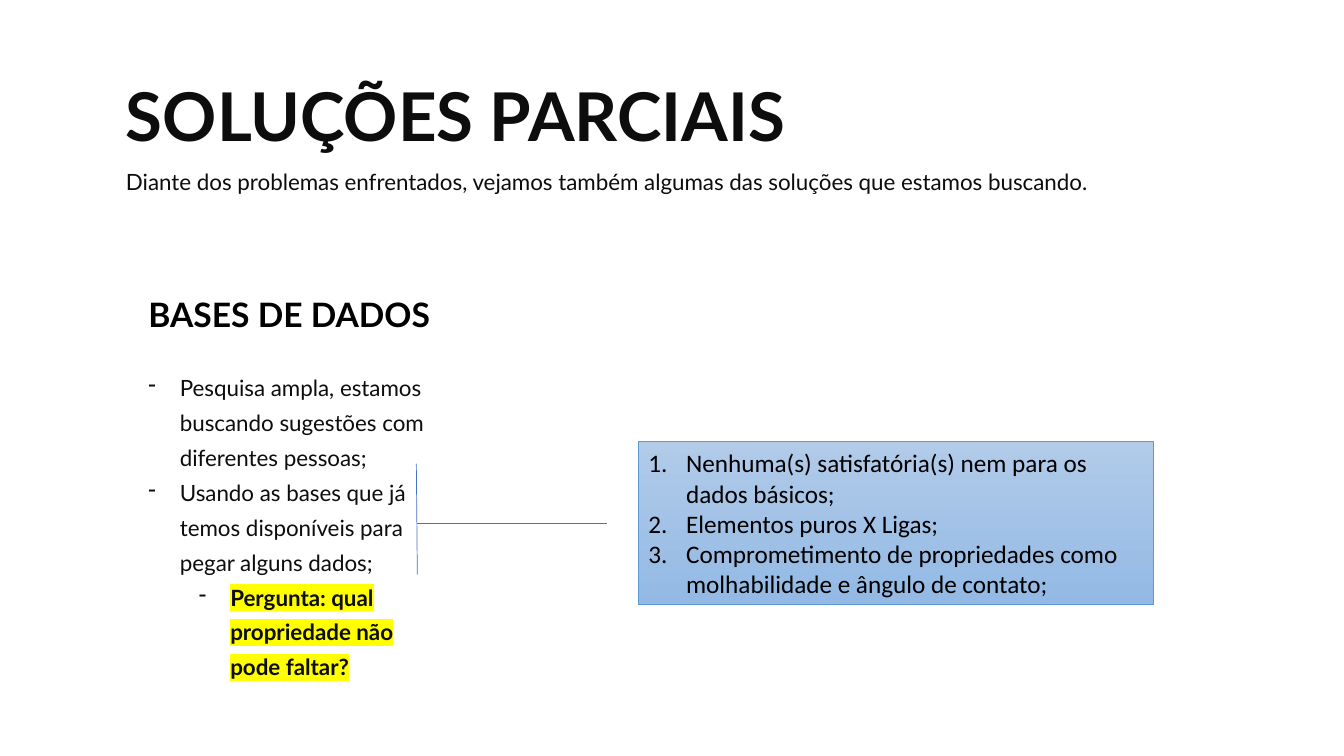
from dataclasses import dataclass

import lxml.etree
import pptx
import pptx.dml.color
import pptx.enum.shapes
import pptx.enum.text
import pptx.oxml.ns
import pptx.util

Pt = pptx.util.Pt
ANCHOR = pptx.enum.text.MSO_ANCHOR

COLORS = {
    "black": "000000",
    "ink": "0D0D0D",
    "highlight": "FFFF00",
    "bracket": "4472C4",
    "box_line": "5B9BD5",
    "box_top": "B1CBE9",
    "box_bottom": "93B9E4",
}


@dataclass(frozen=True)
class Style:
    size: float
    color: str = "ink"
    font: str = "Lato"
    bold: bool = False
    line_spacing: float = 1.0


@dataclass(frozen=True)
class Item:
    text: str
    style: Style
    bullet: str = ""  # "-" for a dash, "1." for automatic numbers
    margin: float = 0
    hanging: float = 0
    level: int = 0
    highlighted: bool = False


@dataclass(frozen=True)
class Block:
    left: float
    top: float
    width: float
    height: float
    items: tuple[Item, ...]
    anchor: ANCHOR = ANCHOR.TOP


@dataclass(frozen=True)
class Line:
    x1: float
    y1: float
    x2: float
    y2: float


TITLE = Style(48, bold=True)
HEADING = Style(24, color="black", bold=True)
BODY = Style(16, line_spacing=1.3)
QUESTION = Style(16, bold=True, line_spacing=1.3)
FINDING = Style(18, color="black", font="Calibri")

TITLE_BLOCK = Block(90, 52.5, 488, 58.5, (Item("SOLUÇÕES PARCIAIS", TITLE),), ANCHOR.BOTTOM)
TEXT_BLOCKS = (
    Block(90, 114.5, 816, 22.5, (
        Item("Diante dos problemas enfrentados, vejamos também algumas das "
             "soluções que estamos buscando.", BODY),
    )),
    Block(106, 209.5, 212.5, 29, (Item("BASES DE DADOS", HEADING),), ANCHOR.BOTTOM),
    Block(106, 261.5, 212.5, 224, (
        Item("Pesquisa ampla, estamos buscando sugestões com diferentes pessoas;",
             BODY, "-", 22.5, 22.5),
        Item("Usando as bases que já temos disponíveis para pegar alguns dados;",
             BODY, "-", 22.5, 22.5),
        Item("Pergunta: qual propriedade não pode faltar?",
             QUESTION, "-", 58.5, 22.5, level=1, highlighted=True),
    )),
)
FINDINGS_BLOCK = Block(456, 315.5, 368, 116.5, tuple(
    Item(text, FINDING, "1.", 27, 27) for text in (
        "Nenhuma(s) satisfatória(s) nem para os dados básicos;",
        "Elementos puros X Ligas;",
        "Comprometimento de propriedades como molhabilidade e ângulo de contato;",
    )
), ANCHOR.MIDDLE)
LINES = (
    Line(297.4, 331.2, 298.1, 410.4),
    Line(433.4, 373.7, 298.1, 373.7),
)


def rgb(name: str) -> pptx.dml.color.RGBColor:
    return pptx.dml.color.RGBColor.from_string(COLORS[name])


def add_element(parent: lxml.etree._Element, tag: str, **attributes: str) -> lxml.etree._Element:
    return lxml.etree.SubElement(parent, pptx.oxml.ns.qn(tag), **attributes)


def write_item(para: pptx.text.text._Paragraph, item: Item) -> None:
    para.level = item.level
    para.alignment = pptx.enum.text.PP_ALIGN.LEFT
    para.line_spacing = item.style.line_spacing

    # Bullet or number with a hanging indent
    if item.bullet:
        properties = para._p.get_or_add_pPr()
        properties.set("marL", str(Pt(item.margin)))
        properties.set("indent", str(-Pt(item.hanging)))
        if item.bullet == "1.":
            add_element(properties, "a:buAutoNum", type="arabicPeriod")
        else:
            add_element(properties, "a:buChar", char=item.bullet)

    span = para.add_run()
    span.text = item.text
    para.font.name = item.style.font
    para.font.size = Pt(item.style.size)
    para.font.bold = item.style.bold
    para.font.color.rgb = rgb(item.style.color)
    if item.highlighted:
        highlight = add_element(span._r.get_or_add_rPr(), "a:highlight")
        add_element(highlight, "a:srgbClr", val=COLORS["highlight"])


def write_block(frame: pptx.text.text.TextFrame, block: Block) -> None:
    frame.word_wrap = True
    frame.auto_size = pptx.enum.text.MSO_AUTO_SIZE.NONE
    frame.vertical_anchor = block.anchor
    for index, item in enumerate(block.items):
        write_item(frame.add_paragraph() if index else frame.paragraphs[0], item)


def clear_margins(frame: pptx.text.text.TextFrame) -> None:
    frame.margin_left = frame.margin_right = frame.margin_top = frame.margin_bottom = 0


def bounds(block: Block) -> tuple[pptx.util.Length, ...]:
    return tuple(Pt(value) for value in (block.left, block.top, block.width, block.height))


def add_title(page: pptx.slide.Slide, block: Block) -> None:
    title = page.shapes.title
    title.left, title.top, title.width, title.height = bounds(block)
    clear_margins(title.text_frame)
    write_block(title.text_frame, block)


def add_text(page: pptx.slide.Slide, block: Block) -> None:
    box = page.shapes.add_textbox(*bounds(block))
    clear_margins(box.text_frame)
    write_block(box.text_frame, block)


def add_line(page: pptx.slide.Slide, line: Line) -> None:
    connector = page.shapes.add_connector(
        pptx.enum.shapes.MSO_CONNECTOR.STRAIGHT,
        Pt(line.x1), Pt(line.y1), Pt(line.x2), Pt(line.y2))
    connector.line.color.rgb = rgb("bracket")
    connector.line.width = Pt(0.5)
    add_element(connector._element.spPr, "a:effectLst")


def add_findings(page: pptx.slide.Slide, block: Block) -> None:
    box = page.shapes.add_shape(pptx.enum.shapes.MSO_SHAPE.RECTANGLE, *bounds(block))
    box.shadow.inherit = False
    box.fill.gradient()
    box.fill.gradient_angle = 270
    for stop, name in zip(box.fill.gradient_stops, ("box_top", "box_bottom")):
        stop.color.rgb = rgb(name)
    box.line.color.rgb = rgb("box_line")
    box.line.width = Pt(0.5)
    write_block(box.text_frame, block)


def main() -> None:
    deck = pptx.Presentation()
    deck.slide_width, deck.slide_height = Pt(960), Pt(540)
    page = deck.slides.add_slide(deck.slide_layouts.get_by_name("Title Only"))

    # Title, introduction and database notes
    add_title(page, TITLE_BLOCK)
    for block in TEXT_BLOCKS:
        add_text(page, block)

    # Bracket leading to the findings
    for line in LINES:
        add_line(page, line)
    add_findings(page, FINDINGS_BLOCK)

    deck.save("out.pptx")


if __name__ == "__main__":
    main()
